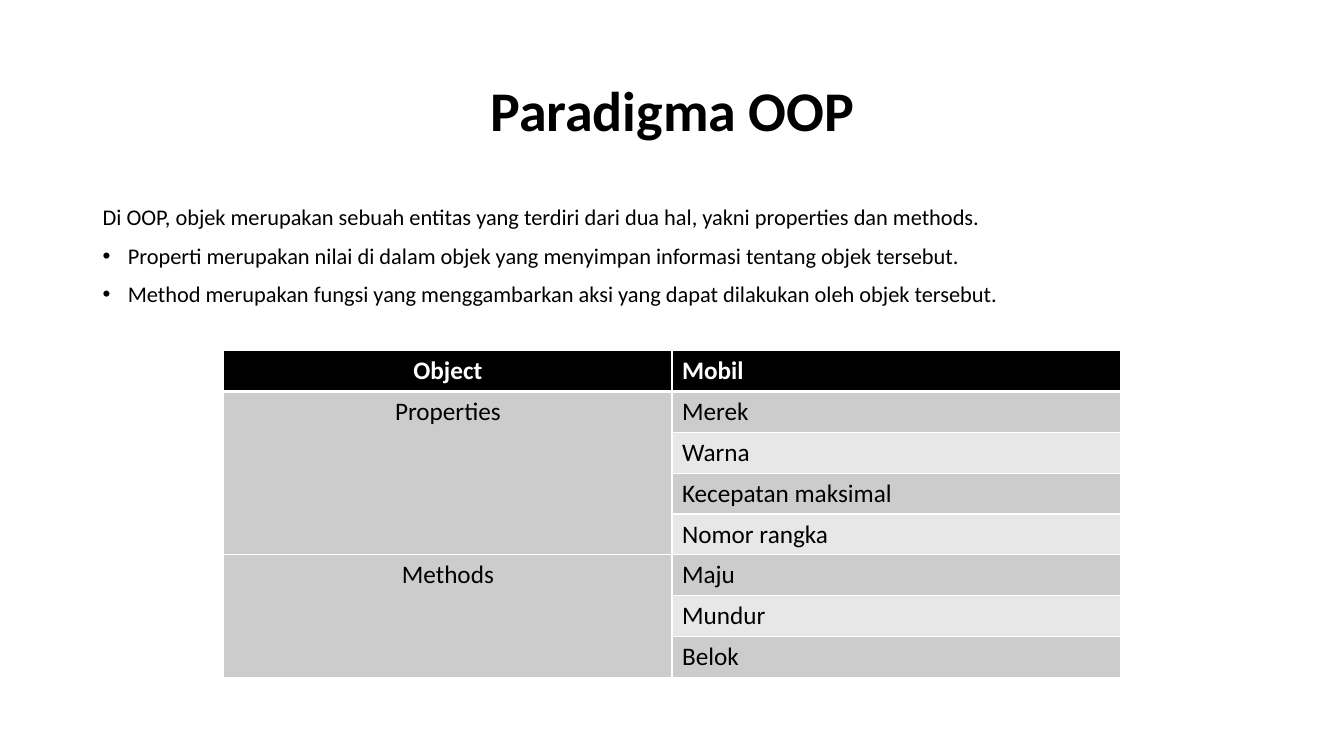
"""Build the OOP paradigm slide with a title, three lines and a table."""
from lxml.etree import SubElement
from pptx import Presentation
from pptx.dml.color import RGBColor
from pptx.enum.text import MSO_ANCHOR, PP_ALIGN
from pptx.oxml.ns import qn
from pptx.util import Inches, Pt

FONT = "Calibri"
BLACK, WHITE, DARK, LIGHT = "000000", "FFFFFF", "CCCCCC", "E7E7E7"
TITLE = "Paradigma OOP"
INTRO = "Di OOP, objek merupakan sebuah entitas yang terdiri dari dua hal, yakni properties dan methods."
POINTS = [
    "Properti merupakan nilai di dalam objek yang menyimpan informasi tentang objek tersebut.",
    "Method merupakan fungsi yang menggambarkan aksi yang dapat dilakukan oleh objek tersebut.",
]
HEAD = ("Object", "Mobil")
GROUPS = {
    "Properties": ["Merek", "Warna", "Kecepatan maksimal", "Nomor rangka"],
    "Methods": ["Maju", "Mundur", "Belok"],
}


def color(code):
    return RGBColor.from_string(code)


def style(para, size, code=BLACK, bold=False, align=PP_ALIGN.LEFT):
    para.alignment = align
    font = para.font
    font.name, font.size, font.bold = FONT, Pt(size), bold
    font.color.rgb = color(code)


def add_box(slide, top, height, anchor):
    box = slide.shapes.add_textbox(Inches(0.92), Inches(top), Inches(11.5), Inches(height))
    frame = box.text_frame
    frame.word_wrap = True
    frame.vertical_anchor = anchor
    return frame


def add_bullet(para):
    props = para._p.get_or_add_pPr()
    props.set("marL", str(Inches(0.25)))
    props.set("indent", str(-Inches(0.25)))
    SubElement(props, qn("a:buFont"), typeface="Arial")
    SubElement(props, qn("a:buChar"), char="•")


def add_edges(cell, low):
    props = cell._tc.get_or_add_tcPr()
    for side, width in zip("LRTB", (1, 1, 1, low)):
        line = SubElement(props, qn(f"a:ln{side}"), w=str(Pt(width)))
        fill = SubElement(line, qn("a:solidFill"))
        SubElement(fill, qn("a:srgbClr"), val=WHITE)


def add_grid(slide):
    rows = [HEAD]
    for name, items in GROUPS.items():
        rows += [(name if i == 0 else "", item) for i, item in enumerate(items)]
    grid = slide.shapes.add_table(
        len(rows), 2, Inches(2.22), Inches(3.48), Inches(8.89), Inches(3.24)
    ).table
    for r, row in enumerate(rows):
        for c, text in enumerate(row):
            cell = grid.cell(r, c)
            add_edges(cell, 3 if r == 0 else 1)
            band = DARK if c == 0 or r % 2 else LIGHT
            cell.fill.solid()
            cell.fill.fore_color.rgb = color(band if r else BLACK)
            cell.text = text
            align = PP_ALIGN.LEFT if c else PP_ALIGN.CENTER
            style(cell.text_frame.paragraphs[0], 18, BLACK if r else WHITE, r == 0, align)
    start = 1
    for items in GROUPS.values():
        end = start + len(items)
        grid.cell(start, 0).merge(grid.cell(end - 1, 0))
        start = end


def main():
    deck = Presentation()
    deck.slide_width, deck.slide_height = Inches(13.33), Inches(7.5)
    slide = deck.slides.add_slide(deck.slide_layouts[6])

    para = add_box(slide, 0.4, 1.45, MSO_ANCHOR.MIDDLE).paragraphs[0]
    para.text = TITLE
    para.line_spacing = 0.9
    style(para, 40, bold=True, align=PP_ALIGN.CENTER)

    body = add_box(slide, 2, 1.3, MSO_ANCHOR.TOP)
    for i, text in enumerate([INTRO, *POINTS]):
        para = body.add_paragraph() if i else body.paragraphs[0]
        para.text = text
        para.line_spacing = 0.9
        if i:
            para.space_before = Pt(10)
            add_bullet(para)
        style(para, 16)

    add_grid(slide)
    deck.save("out.pptx")


if __name__ == "__main__":
    main()
